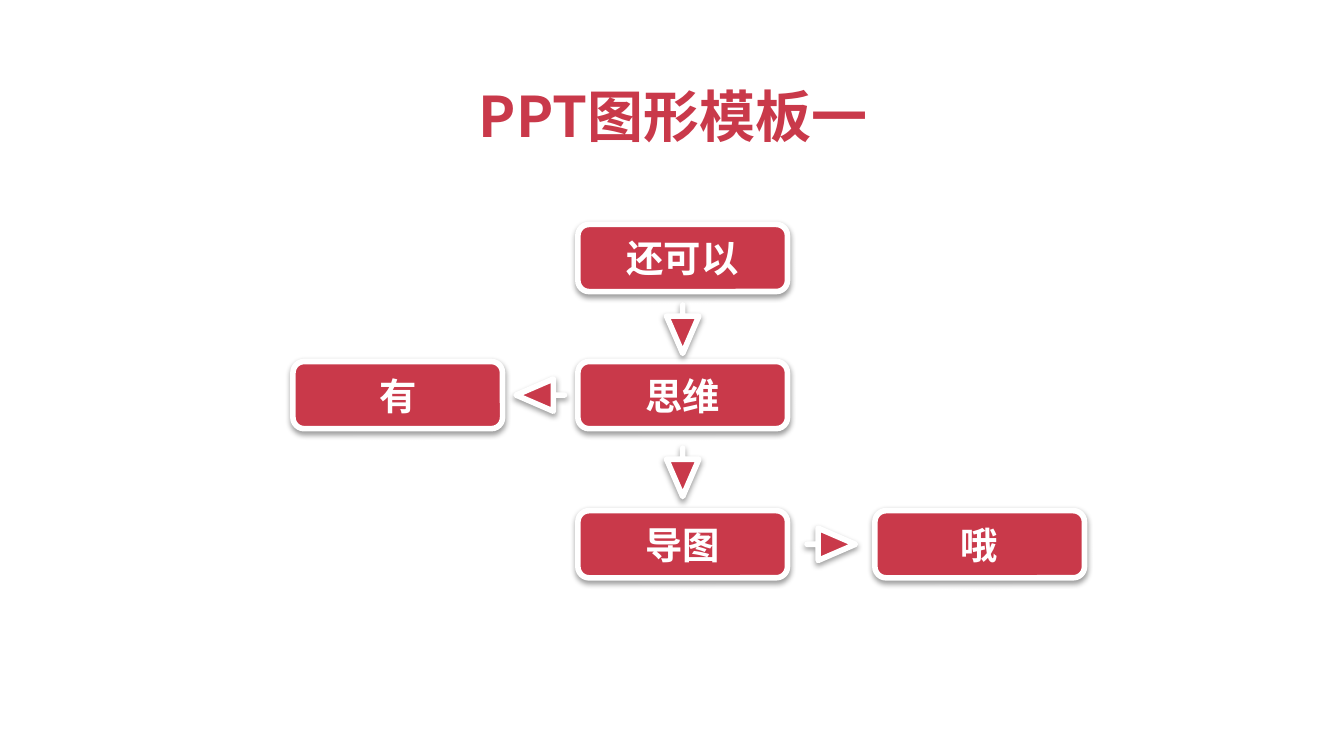
from lxml.etree import SubElement
from pptx import Presentation
from pptx.dml.color import RGBColor
from pptx.enum.shapes import MSO_SHAPE as Preset
from pptx.enum.text import MSO_ANCHOR as Anchor, PP_ALIGN as Align
from pptx.oxml.ns import qn
from pptx.util import Inches, Pt

COLORS = {"red": "C9394A", "white": "FFFFFF", "shadow": "000000"}
FONT = "Noto Sans CJK SC"

# Grid: centres of the columns and rows, in inches
COLUMNS = [2.96, 5.08, 7.29]
ROWS = [1.92, 2.94, 4.05]
BOX_W, BOX_H = 1.56, 0.5
ARROW_W, ARROW_H = 0.24, 0.36
ARROW_DROP = 0.02


def write(shape, text, size, color, anchor=Anchor.MIDDLE):
    frame = shape.text_frame
    frame.word_wrap = True
    frame.vertical_anchor = anchor
    frame.margin_left = frame.margin_right = frame.margin_top = frame.margin_bottom = 0
    paragraph = frame.paragraphs[0]
    paragraph.alignment = Align.CENTER
    run = paragraph.add_run()
    run.text = text
    run.font.size, run.font.bold, run.font.name = Pt(size), True, FONT
    run.font.color.rgb = RGBColor.from_string(COLORS[color])
    SubElement(run.font._element, qn("a:ea"), typeface=FONT)


def add_raised(preset, x, y, width, height, adjustments):
    """Red shape centred on x, y with a white rim and a soft shadow below."""
    shape = slide.shapes.add_shape(
        preset, Inches(x - width / 2), Inches(y - height / 2), Inches(width), Inches(height))
    for index, value in enumerate(adjustments):
        shape.adjustments[index] = value
    shape.fill.solid()
    shape.fill.fore_color.rgb = RGBColor.from_string(COLORS["red"])
    shape.line.color.rgb = RGBColor.from_string(COLORS["white"])
    shape.line.width = Pt(3)
    shape.shadow.inherit = False
    effects = shape._element.spPr.find(qn("a:effectLst"))
    shadow = SubElement(effects, qn("a:outerShdw"), blurRad=str(Pt(3.1)), dist=str(Pt(1.6)),
                        dir="5400000", rotWithShape="0")
    tint = SubElement(shadow, qn("a:srgbClr"), val=COLORS["shadow"])
    SubElement(tint, qn("a:alpha"), val="38000")
    return shape


# Widescreen slide, 16:9
deck = Presentation()
deck.slide_width = Inches(10)
deck.slide_height = deck.slide_width * 9 // 16
slide = deck.slides.add_slide(deck.slide_layouts[5])

# Title
title = slide.shapes.title
title.left, title.top, title.width, title.height = map(Inches, (0.51, 0.61, 9, 0.63))
write(title, "PPT图形模板一", size=30, color="red", anchor=Anchor.TOP)

# Topic boxes: text, column, row
topics = [("还可以", 1, 0), ("有", 0, 1), ("思维", 1, 1), ("导图", 1, 2), ("哦", 2, 2)]
for topic, column, row in topics:
    box = add_raised(Preset.ROUNDED_RECTANGLE, COLUMNS[column], ROWS[row], BOX_W, BOX_H, [0.167])
    write(box, topic, size=20, color="white")

# Arrows halfway between neighbouring boxes: x, y, rotation
arrows = [(COLUMNS[1], (ROWS[i] + ROWS[i + 1]) / 2 + ARROW_DROP, 0) for i in range(2)]
arrows += [((COLUMNS[i] + COLUMNS[i + 1]) / 2, ROWS[i + 1], turn) for i, turn in enumerate((90, 270))]
for x, y, turn in arrows:
    arrow = add_raised(Preset.DOWN_ARROW, x, y, ARROW_W, ARROW_H, [0, 1.153])
    arrow.rotation = turn

deck.save("out.pptx")
